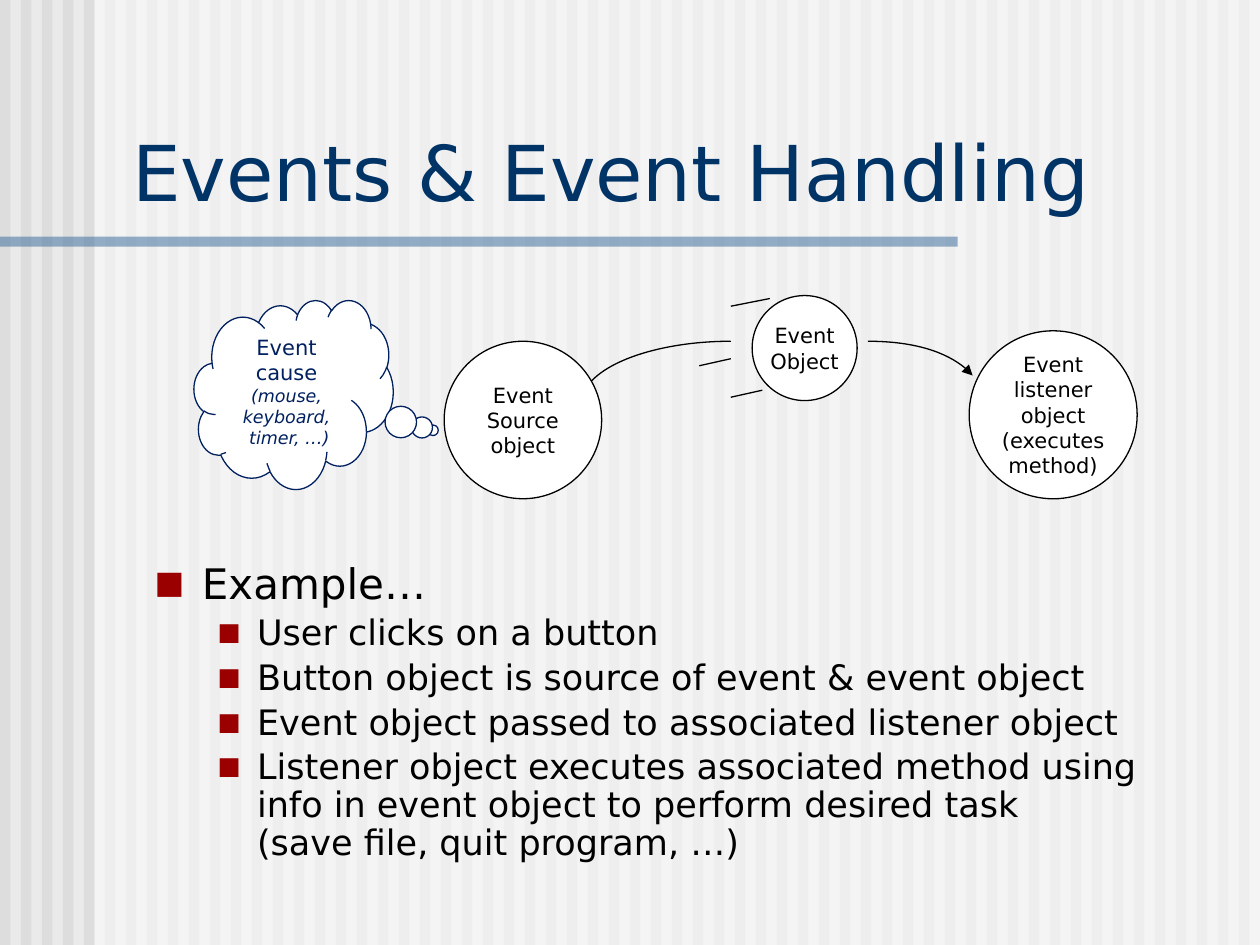
from dataclasses import dataclass

from lxml import etree
from pptx import Presentation
from pptx.dml.color import RGBColor
from pptx.enum import shapes as kinds, text as txt
from pptx.oxml import ns
from pptx.util import Pt


@dataclass(frozen=True)
class Theme:
    font: str = "DejaVu Sans"
    back: str = "EAEAEA"
    stripe: str = "DDDDDD"
    white: str = "FFFFFF"
    black: str = "000000"
    bar: str = "336699"
    title: str = "003366"
    cause: str = "002060"
    bullet: str = "9A0000"
    head: int = 44
    body: int = 24
    sub: int = 20
    label: int = 12
    small: int = 10
    stroke: float = 0.75


T = Theme()
OVAL = kinds.MSO_SHAPE.OVAL
CLOUD = kinds.MSO_SHAPE.CLOUD_CALLOUT


def rgb(code):
    return RGBColor.from_string(code)


def add(parent, tag, **attrs):
    return etree.SubElement(parent, ns.qn(tag), attrs)


def ink(item, color):
    item.line.color.rgb = rgb(color)
    item.line.width = Pt(T.stroke)


def style(para, size, color, italic=False):
    font = para.font
    font.name, font.size, font.italic = T.font, Pt(size), italic
    font.color.rgb = rgb(color)


def band(slide, box, color, alpha=None):
    rect = slide.shapes.add_shape(kinds.MSO_SHAPE.RECTANGLE, *map(Pt, box))
    rect.shadow.inherit = False
    rect.fill.solid()
    rect.fill.fore_color.rgb = rgb(color)
    rect.line.fill.background()
    if alpha:
        tint = rect.element.spPr.find(ns.qn("a:solidFill"))[0]
        add(tint, "a:alpha", val=str(alpha * 1000))


def node(slide, kind, box, color, parts):
    shape = slide.shapes.add_shape(kind, *map(Pt, box))
    shape.shadow.inherit = False
    shape.fill.solid()
    shape.fill.fore_color.rgb = rgb(T.white)
    ink(shape, color)
    frame = shape.text_frame
    frame.word_wrap = kind == CLOUD
    frame.vertical_anchor = (
        txt.MSO_ANCHOR.TOP if kind == CLOUD else txt.MSO_ANCHOR.MIDDLE)
    for i, (words, size, italic) in enumerate(parts):
        para = frame.add_paragraph() if i else frame.paragraphs[0]
        para.text = words
        para.alignment = txt.PP_ALIGN.CENTER
        style(para, size, color, italic)
    return shape


def ring(slide, x, y, size, *words):
    parts = [(word, T.label, False) for word in words]
    node(slide, OVAL, (x, y, size, size), T.black, parts)


def curve(slide, start, *points, arrow=False):
    build = slide.shapes.build_freeform(*map(Pt, start))
    build.add_line_segments([tuple(map(Pt, p)) for p in points], close=False)
    shape = build.convert_to_shape()
    shape.shadow.inherit = False
    shape.fill.background()
    ink(shape, T.black)
    track = next(shape.element.iter(ns.qn("a:path")))
    bend = add(track, "a:cubicBezTo")
    for step in track.findall(ns.qn("a:lnTo")):
        bend.append(step[0])
        track.remove(step)
    if arrow:
        line = shape.element.spPr.find(ns.qn("a:ln"))
        add(line, "a:tailEnd", type="triangle")


def dash(slide, *ends):
    line = slide.shapes.add_connector(
        kinds.MSO_CONNECTOR.STRAIGHT, *map(Pt, ends))
    ink(line, T.black)
    add(line.element.spPr, "a:effectLst")


def block(slide, box):
    frame = slide.shapes.add_textbox(*map(Pt, box)).text_frame
    frame.word_wrap = True
    return frame


def heading(slide, words):
    frame = block(slide, (68.4, 67.7, 643, 59.8))
    frame.vertical_anchor = txt.MSO_ANCHOR.BOTTOM
    para = frame.paragraphs[0]
    para.text = words
    style(para, T.head, T.title)


def bullet(para, words, size, left, hang, scale):
    para.text = words
    para.line_spacing = 0.9
    para.space_before = Pt(size * 0.2)
    props = para._p.get_or_add_pPr()
    props.set("marL", str(Pt(left)))
    props.set("indent", str(-Pt(hang)))
    add(add(props, "a:buClr"), "a:srgbClr", val=T.bullet)
    add(props, "a:buSzPct", val=str(scale * 1000))
    add(props, "a:buFont", typeface=T.font)
    add(props, "a:buChar", char="■")
    style(para, size, T.black)


def outline(slide, top, subs):
    frame = block(slide, (81.3, 318.2, 584.6, 144))
    bullet(frame.paragraphs[0], top, T.body, 27, 27, 75)
    for words in subs:
        para = frame.add_paragraph()
        para.level = 1
        bullet(para, words, T.sub, 58.5, 22.5, 70)


def backdrop(slide):
    fill = slide.background.fill
    fill.solid()
    fill.fore_color.rgb = rgb(T.back)
    for i in range(60):
        band(slide, (12 * i, 0, 6, 540), T.stripe)
    band(slide, (54, 0, 666, 540), T.white, 50)
    band(slide, (0, 135.2, 547.2, 5.8), T.bar, 50)


def diagram(slide):
    ring(slide, 553.8, 189, 96, "Event\nlistener\nobject\n(executes\nmethod)")
    ring(slide, 429.8, 168.9, 60, "Event\nObject")
    curve(slide, (417.6, 195), (378, 195), (342.7, 206.6), (334.1, 223.2))
    curve(slide, (496, 195), (522.7, 195), (546.5, 203), (555.8, 214.6),
          arrow=True)
    cloud = node(slide, CLOUD, (110.9, 171.4, 113.8, 108), T.cause, [
        ("Event\ncause", T.label, False),
        ("(mouse,\nkeyboard,\n timer, …)", T.small, True)])
    cloud.adjustments[0], cloud.adjustments[1] = 0.7, 0.19
    ring(slide, 253.8, 195, 90, "Event\nSource", "object")
    dash(slide, 417.6, 175, 439.9, 170.6)
    dash(slide, 417.6, 227, 435.6, 223)
    dash(slide, 399.6, 209, 417.6, 205)


def main():
    deck = Presentation()
    deck.slide_width, deck.slide_height = Pt(720), Pt(540)
    slide = deck.slides.add_slide(deck.slide_layouts[6])
    backdrop(slide)
    heading(slide, "Events & Event Handling")
    outline(slide, "Example…", [
        "User clicks on a button",
        "Button object is source of event & event object",
        "Event object passed to associated listener object",
        "Listener object executes associated method using info in event "
        "object to perform desired task \n(save file, quit program, …)"])
    diagram(slide)
    deck.save("out.pptx")


if __name__ == "__main__":
    main()
